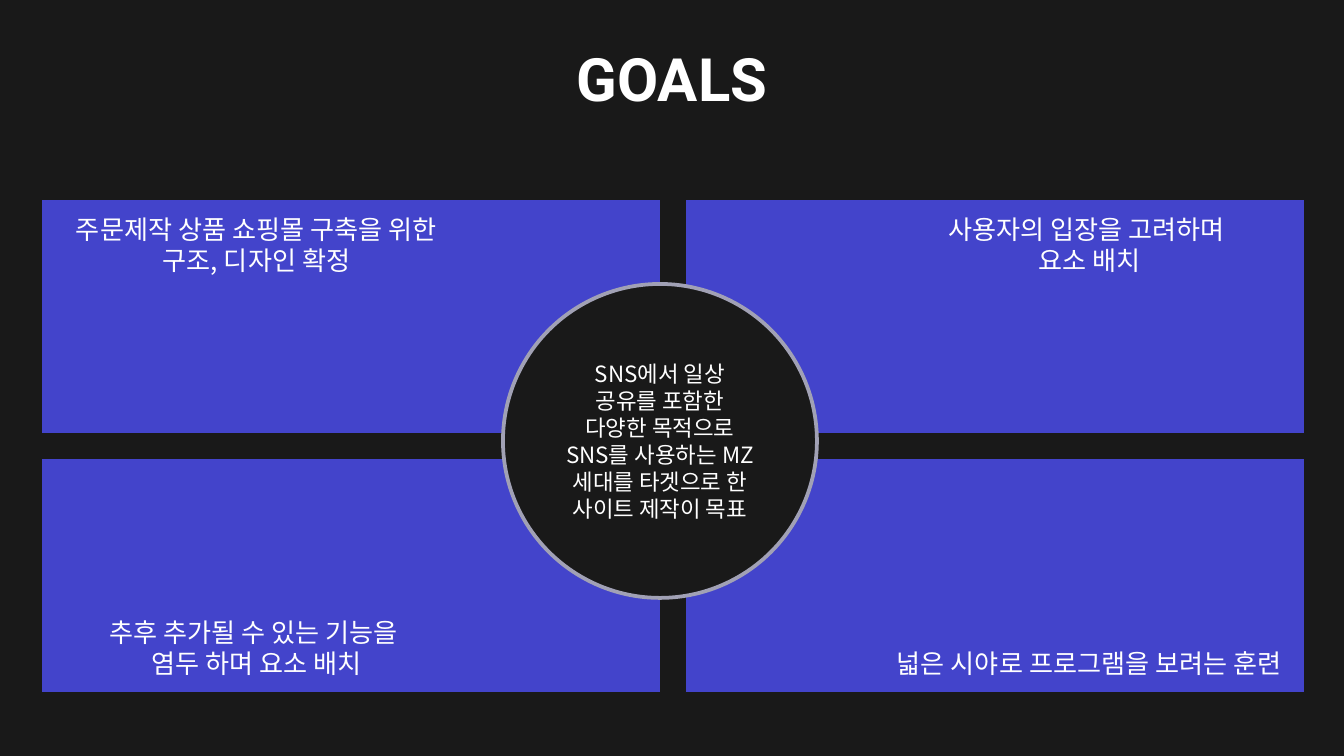
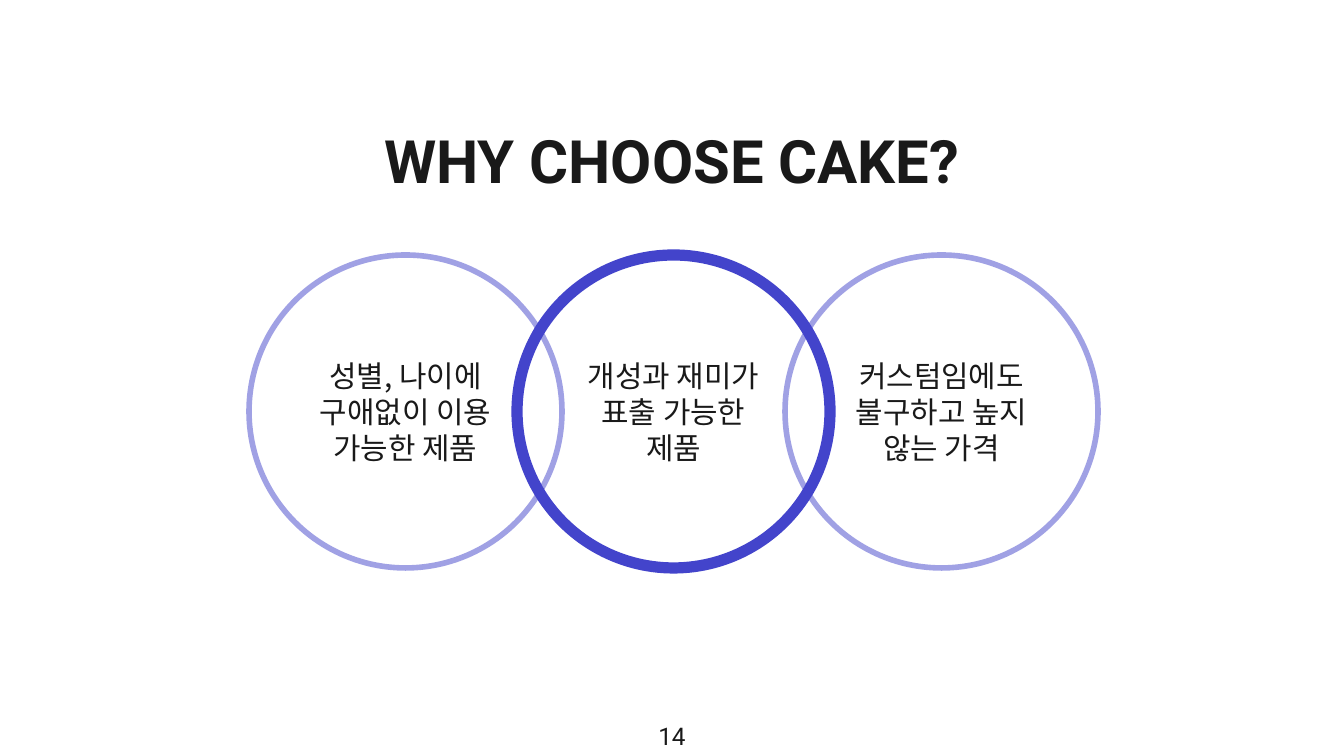
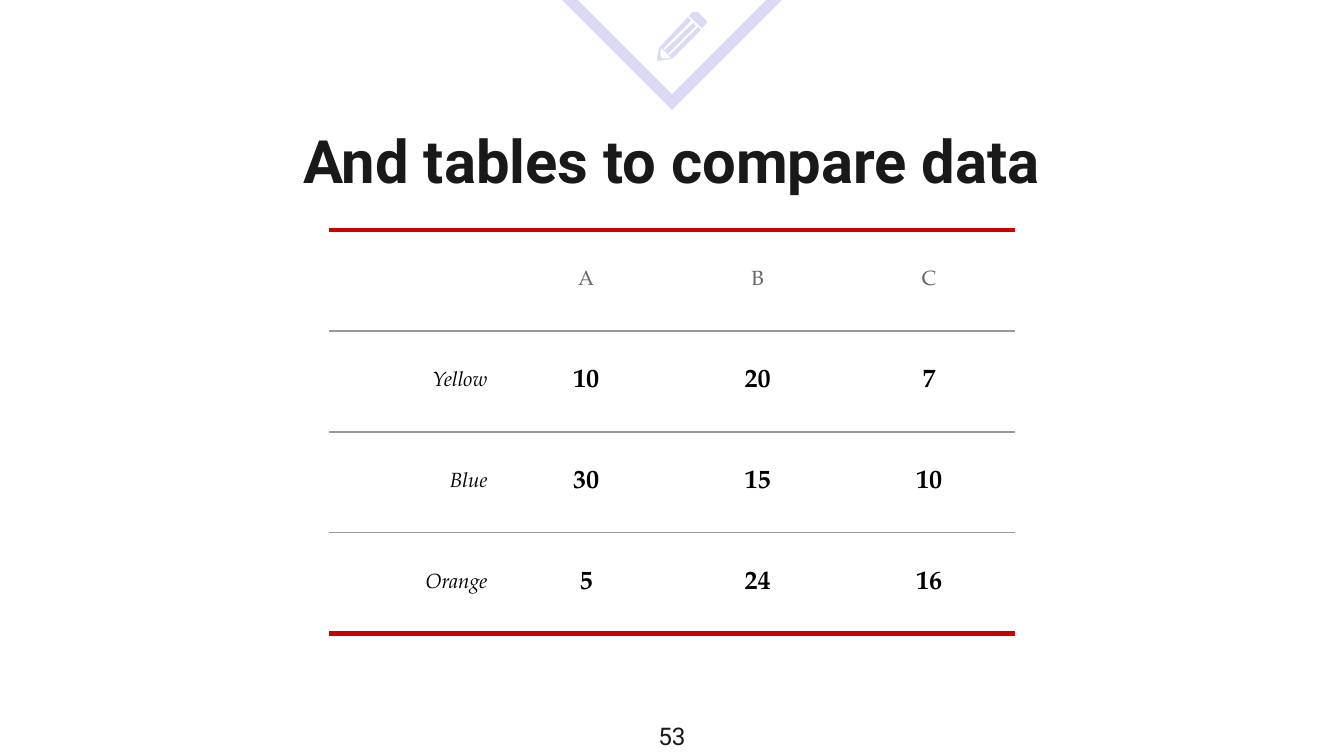
from lxml import etree
from pptx import Presentation
from pptx.dml.color import RGBColor
from pptx.enum.shapes import MSO_SHAPE
from pptx.enum.text import MSO_ANCHOR, MSO_AUTO_SIZE, PP_ALIGN
from pptx.oxml.ns import qn
from pptx.util import Pt

PX = 914400 / 134.4
WIDTH, HEIGHT = 1344, 756
RECTANGLE, ELLIPSE = MSO_SHAPE.RECTANGLE, MSO_SHAPE.OVAL
TRIANGLE = MSO_SHAPE.ISOSCELES_TRIANGLE
TOP, MIDDLE, BOTTOM = MSO_ANCHOR.TOP, MSO_ANCHOR.MIDDLE, MSO_ANCHOR.BOTTOM
CENTER, RIGHT = PP_ALIGN.CENTER, PP_ALIGN.RIGHT

INK, WHITE, BLUE, PALE = "191919", "FFFFFF", "4344CB", "DADAF5"
RING_GREY, RULE_GREY, HEADER_GREY = "A1A1B5", "999999", "666666"
RED, BLACK = "CC0000", "000000"
LATIN, KOREAN, SERIF = "Roboto", "Noto Sans CJK KR", "TeX Gyre Pagella"
INSET, WIDE_INSET = 13, 202

GOALS = [
    ["주문제작 상품 쇼핑몰 구축을 위한 구조, 디자인 확정"],
    ["사용자의 입장을 고려하며 ", "요소 배치"],
    ["추후 추가될 수 있는 기능을 ", "염두 하며 요소 배치"],
    ["넓은 시야로 프로그램을 보려는 훈련"],
]
TARGET = ["SNS에서 일상 공유를 포함한 다양한 목적으로 SNS를 사용하는 "
          "MZ 세대를 타겟으로 한 사이트 제작이 목표"]
# column, text, line width, opacity; the middle ring lies on top
REASONS = [
    (0, "성별, 나이에 구애없이 이용 가능한 제품", 3, 50),
    (2, "커스텀임에도 불구하고 높지 않는 가격", 3, 50),
    (1, "개성과 재미가 표출 가능한 제품", 6, 100),
]
COMPARISON = [
    ["", "A", "B", "C"],
    ["Yellow", "10", "20", "7"],
    ["Blue", "30", "15", "10"],
    ["Orange", "5", "24", "16"],
]
PENCIL_PARTS = [
    [[(689, 16), (702, 28), (706, 24), (707, 22), (706, 20), (698, 12),
      (696, 12), (693, 12)]],
    [[(661, 48), (671, 58), (663, 59), (660, 55)],
     [(688, 17), (660, 47), (659, 48), (657, 59), (658, 61), (671, 59),
      (673, 58), (701, 30), (698, 27), (670, 55), (668, 54), (696, 26),
      (693, 23), (665, 50), (663, 49), (691, 21)]],
]


def px(*lengths):
    return [round(length * PX) for length in lengths]


def color(value):
    return RGBColor.from_string(value)


def write(frame, lines, font, size, ink, anchor=TOP, align=CENTER,
          insets=(INSET,) * 4, bold=False, italic=False):
    frame.text = "\n".join(lines)
    frame.word_wrap = True
    frame.vertical_anchor = anchor
    (frame.margin_left, frame.margin_top,
     frame.margin_right, frame.margin_bottom) = px(*insets)
    for para in frame.paragraphs:
        para.alignment = align
        for span in para.runs:
            span.font.name, span.font.size = font, Pt(size)
            span.font.bold, span.font.italic = bold, italic
            span.font.color.rgb = color(ink)
            east_asian = etree.SubElement(span.font._element, qn("a:ea"))
            east_asian.set("typeface", font)


def add_page(deck, title, top, background=WHITE, ink=INK, number=None):
    page = deck.slides.add_slide(deck.slide_layouts[5])
    page.background.fill.solid()
    page.background.fill.fore_color.rgb = color(background)
    heading = page.shapes.title
    heading.left, heading.top, heading.width, heading.height = px(152, top, 1040, 79)
    heading.text_frame.auto_size = MSO_AUTO_SIZE.NONE
    write(heading.text_frame, [title], LATIN, 32, ink, bold=True)
    if number:
        footer = page.shapes.add_textbox(*px(0, 708, WIDTH, 48))
        write(footer.text_frame, [number], LATIN, 13, INK)
    return page


def style(shape, fill=None, line=None, width=1, opacity=100):
    shape.shadow.inherit = False
    if fill:
        shape.fill.solid()
        shape.fill.fore_color.rgb = color(fill)
    else:
        shape.fill.background()
    if not line:
        shape.line.fill.background()
        return
    shape.line.color.rgb = color(line)
    shape.line.width = Pt(width)
    if opacity < 100:
        stroke = shape.line._ln.find(".//" + qn("a:srgbClr"))
        etree.SubElement(stroke, qn("a:alpha")).set("val", str(opacity * 1000))


def add_goals(deck):
    page = add_page(deck, "GOALS", 29, INK, WHITE)
    for index, lines in enumerate(GOALS):
        row, column = divmod(index, 2)
        panel = page.shapes.add_shape(
            RECTANGLE, *px(42 + column * 644, 200 + row * 259, 618, 233))
        style(panel, BLUE)
        left, right = (WIDE_INSET, INSET) if column else (INSET, WIDE_INSET)
        write(panel.text_frame, lines, KOREAN, 14, WHITE,
              BOTTOM if row else TOP, insets=(left, INSET, right, INSET))
    target = page.shapes.add_shape(ELLIPSE, *px(503, 284, 314, 314))
    style(target, INK, RING_GREY, 2)
    write(target.text_frame, TARGET, KOREAN, 12, WHITE, MIDDLE,
          insets=(15, 7, 15, 7))


def add_reasons(deck):
    page = add_page(deck, "WHY CHOOSE CAKE?", 111, number="14")
    for column, reason, width, opacity in REASONS:
        ring = page.shapes.add_shape(
            ELLIPSE, *px(249 + column * 268, 255, 313, 313))
        style(ring, None, BLUE, width, opacity)
        write(ring.text_frame, [reason], KOREAN, 16, INK, MIDDLE)


def add_pencil(page):
    group = page.shapes.add_group_shape()
    for contours in PENCIL_PARTS:
        first, *others = contours
        builder = group.shapes.build_freeform(*first[0], scale=PX)
        builder.add_line_segments(first[1:])
        for contour in others:
            builder.move_to(*contour[0])
            builder.add_line_segments(contour[1:])
        style(builder.convert_to_shape(), PALE)


def set_borders(cell, top, bottom):
    """Rule the cell above and below; each rule is (colour, points)."""
    cell.fill.background()
    properties = cell._tc.get_or_add_tcPr()
    sides = [("L", None), ("R", None), ("T", top), ("B", bottom)]
    for position, (side, rule) in enumerate(sides):
        border = etree.Element(qn("a:ln" + side))
        if rule:
            border.set("w", str(Pt(rule[1])))
            solid = etree.SubElement(border, qn("a:solidFill"))
            etree.SubElement(solid, qn("a:srgbClr")).set("val", rule[0])
        else:
            etree.SubElement(border, qn("a:noFill"))
        properties.insert(position, border)


def add_comparison(deck):
    page = add_page(deck, "And tables to compare data", 111, number="53")
    corner = page.shapes.add_shape(TRIANGLE, *px(562, -8, 220, 110))
    corner.rotation = 180
    style(corner, None, PALE, 6)
    etree.SubElement(corner.line._ln, qn("a:miter")).set("lim", "800000")
    add_pencil(page)

    rows, columns = len(COMPARISON), len(COMPARISON[0])
    table = page.shapes.add_table(
        rows, columns, *px(329, 230, 686, 101 * rows)).table
    table.first_row = table.horz_banding = False
    thick, thin = (RED, 3), (RULE_GREY, 0.75)
    for row, values in enumerate(COMPARISON):
        for column, value in enumerate(values):
            cell = table.cell(row, column)
            header, label = row == 0, column == 0
            number = not header and not label
            write(cell.text_frame, [value], SERIF, 14 if number else 11,
                  HEADER_GREY if header else BLACK,
                  align=RIGHT if label else CENTER, bold=number, italic=label)
            cell.vertical_anchor = MIDDLE
            (cell.margin_left, cell.margin_top,
             cell.margin_right, cell.margin_bottom) = px(13, 9, 13, 9)
            set_borders(cell, thick if header else thin,
                        thick if row == rows - 1 else thin)


def main():
    deck = Presentation()
    deck.slide_width, deck.slide_height = px(WIDTH, HEIGHT)
    add_goals(deck)
    add_reasons(deck)
    add_comparison(deck)
    deck.save("out.pptx")


if __name__ == "__main__":
    main()
